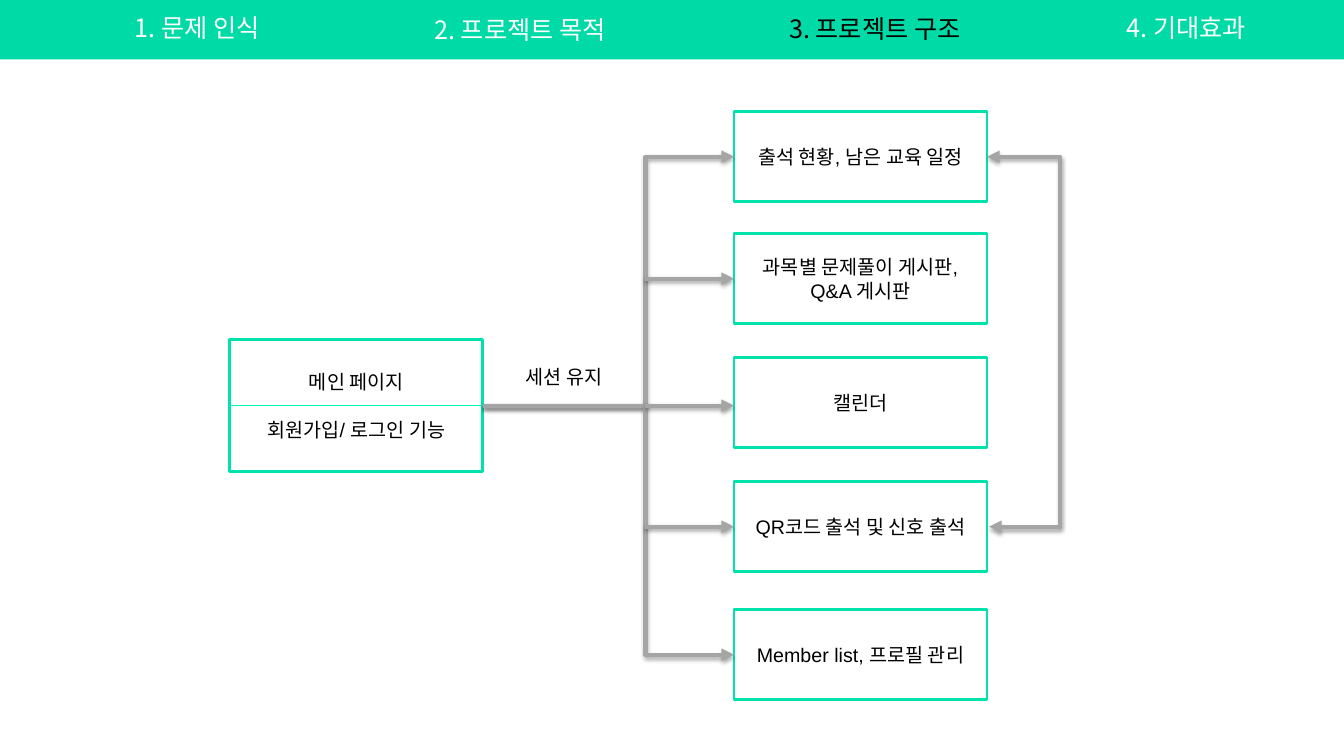
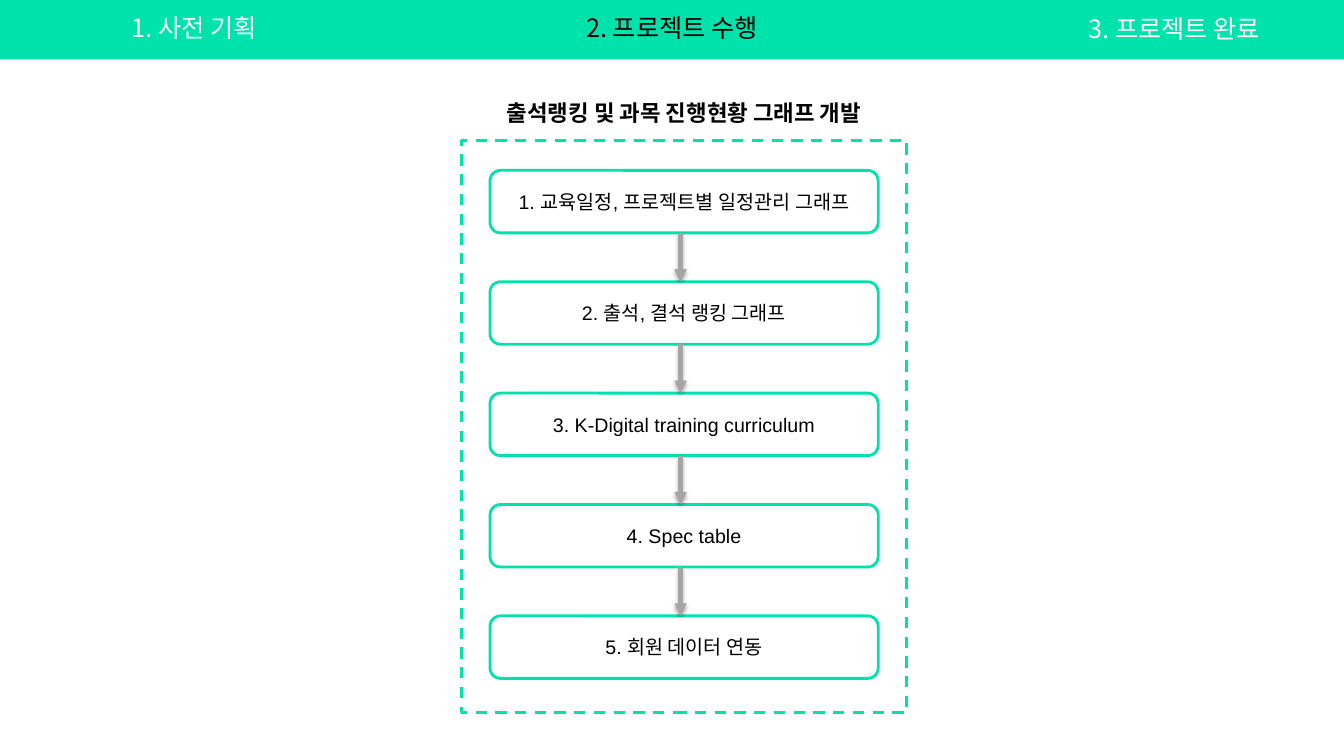
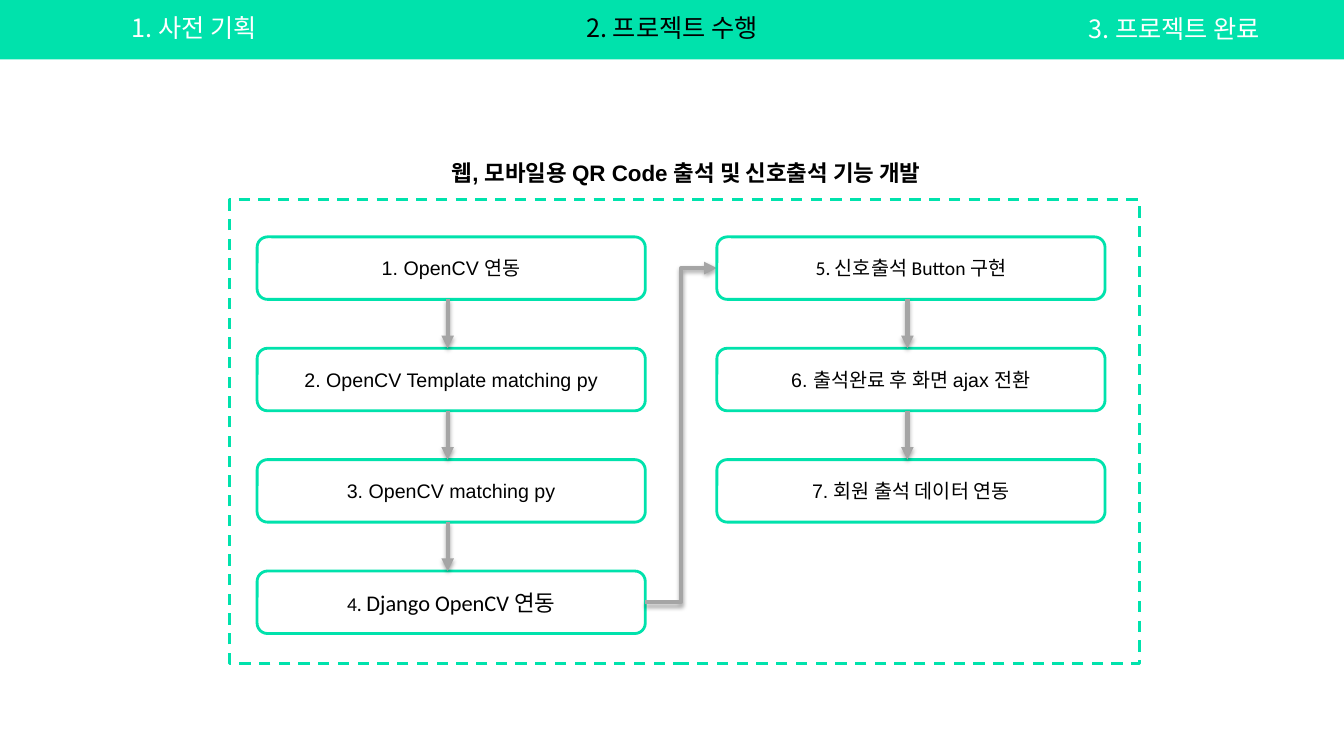
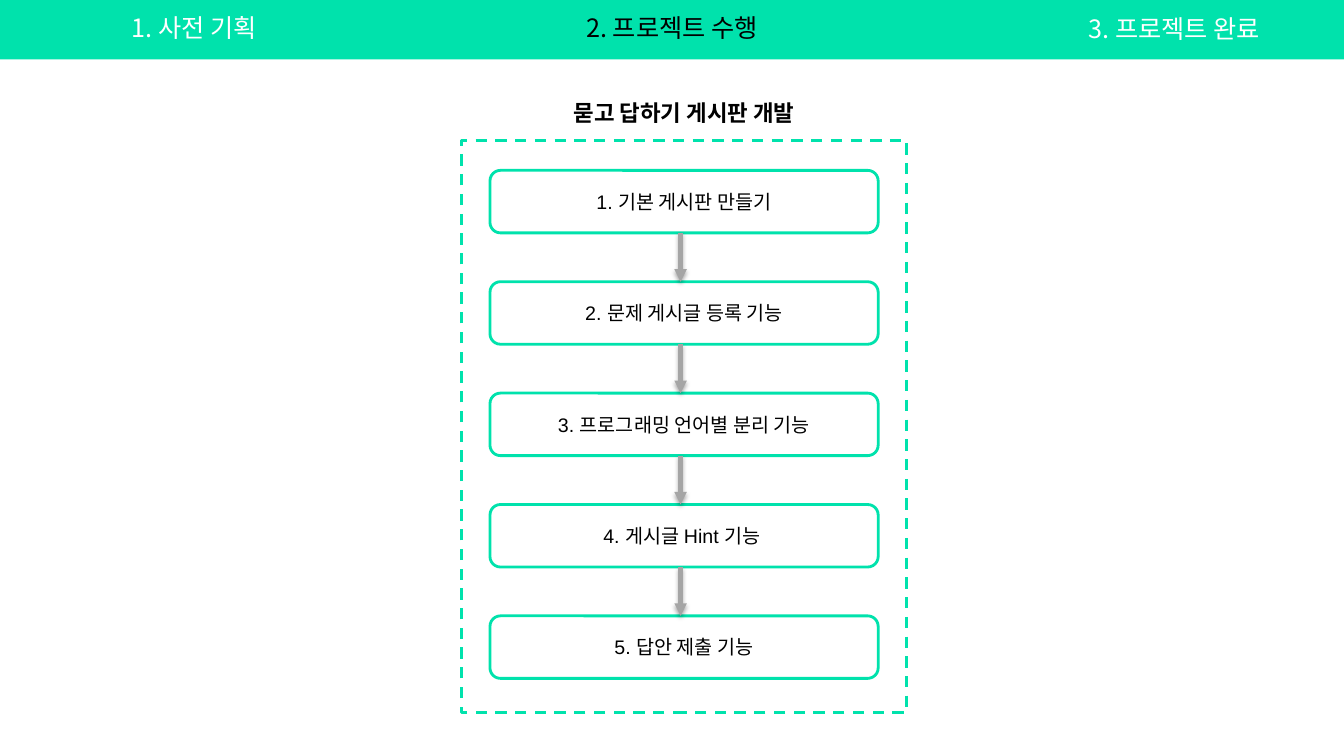
"""Builds four project slides: a site structure diagram and three development flows."""
from dataclasses import dataclass

import pptx
import pptx.dml.color
import pptx.enum.dml
import pptx.enum.shapes
import pptx.enum.text
import pptx.oxml
import pptx.oxml.ns
import pptx.util
from pptx.util import Inches

SHAPES = pptx.enum.shapes.MSO_SHAPE
CONNECTORS = pptx.enum.shapes.MSO_CONNECTOR
ANCHORS = pptx.enum.text.MSO_ANCHOR


@dataclass(frozen=True)
class Theme:
    mint: str = "00E2AC"
    deep_mint: str = "00DAA6"
    bright_mint: str = "00F6BB"
    gray: str = "A5A5A5"
    white: str = "FFFFFF"
    black: str = "000000"
    body_font: str = "Arial"
    alternate_font: str = "Calibri"
    korean_font: str = "Noto Sans CJK KR"
    tab_size: int = 18
    title_size: int = 16
    body_size: int = 14
    border: float = 2
    arrow: float = 3
    hairline: float = 0.75


THEME = Theme()


@dataclass(frozen=True)
class Card:
    text: str
    font: str = THEME.body_font
    number: str = ""


STRUCTURE_TABS = [
    ("1. 문제 인식", 0.37, 0.07, 3.17),
    ("2. 프로젝트 목적 ", 4.09, 0.09, 2.19),
    ("3. 프로젝트 구조 ", 7.61, 0.08, 2.19),
    ("4. 기대효과", 10.67, 0.07, 2.19),
]
FLOW_TABS = [
    ("1. 사전 기획 ", 0.37, 0.07, 3.17),
    ("2. 프로젝트 수행", 5.57, 0.07, 2.19),
    ("3. 프로젝트 완료", 10.55, 0.08, 2.19),
]

MAIN_PAGE = ["메인 페이지", "회원가입/ 로그인 기능"]
SESSION_LABEL = "세션 유지"
FEATURES = [
    (1.11, ["출석 현황, 남은 교육 일정"]),
    (2.32, ["과목별 문제풀이 게시판,", "Q&A 게시판"]),
    (3.55, ["캘린더"]),
    (4.78, ["QR코드 출석 및 신호 출석"]),
    (6.05, ["Member list, 프로필 관리"]),
]

SINGLE_FRAME = (4.58, 1.39, 4.41, 5.68)
SINGLE_TITLE = (4.58, 0.93, 4.41, 0.37)
FLOWS = [
    {
        "title": "출석랭킹 및 과목 진행현황 그래프 개발",
        "title_box": SINGLE_TITLE,
        "frame": SINGLE_FRAME,
        "top": 1.69,
        "columns": [(4.86, [
            Card("1. 교육일정, 프로젝트별 일정관리 그래프"),
            Card("2. 출석, 결석 랭킹 그래프"),
            Card("3. K-Digital training curriculum"),
            Card("4. Spec table"),
            Card("5. 회원 데이터 연동"),
        ])],
    },
    {
        "title": "웹, 모바일용 QR Code 출석 및 신호출석 기능 개발",
        "title_box": (4, 1.53, 5.61, 0.37),
        "frame": (2.28, 1.98, 9.02, 4.6),
        "top": 2.35,
        "columns": [
            (2.55, [
                Card("1. OpenCV 연동"),
                Card("2. OpenCV Template matching py"),
                Card("3. OpenCV matching py"),
                Card("Django OpenCV 연동", THEME.alternate_font, "4. "),
            ]),
            (7.11, [
                Card("5. 신호출석 Button 구현", THEME.alternate_font),
                Card("6. 출석완료 후 화면 ajax 전환"),
                Card("7. 회원 출석 데이터 연동"),
            ]),
        ],
    },
    {
        "title": "묻고 답하기 게시판 개발",
        "title_box": SINGLE_TITLE,
        "frame": SINGLE_FRAME,
        "top": 1.69,
        "columns": [(4.86, [
            Card("1. 기본 게시판 만들기"),
            Card("2. 문제 게시글 등록 기능"),
            Card("3. 프로그래밍 언어별 분리 기능"),
            Card("4. 게시글 Hint 기능 "),
            Card("5. 답안 제출 기능"),
        ])],
    },
]

SLIDE_WIDTH, SLIDE_HEIGHT = 13.33, 7.5
BAND_HEIGHT = 0.59
MAIN_LEFT, MAIN_TOP, MAIN_HEIGHT = 2.28, 3.37, 1.31
BOX_WIDTH, FEATURE_HEIGHT, FEATURE_LEFT = 2.51, 0.89, 7.28
TRUNK_X, RETURN_X = 6.4, 10.51
CARD_WIDTH, CARD_HEIGHT, CARD_PITCH = 3.85, 0.62, 4.42 / 4
ARROW_OFFSET = 1.89


def color(value):
    return pptx.dml.color.RGBColor.from_string(value)


def add_child(parent, tag, **attributes):
    child = pptx.oxml.ns.qn(tag)
    element = parent.makeelement(child, attributes)
    parent.append(element)
    return element


def style_paragraph(paragraph, size, font, text_color=THEME.black, bold=False):
    paragraph.alignment = pptx.enum.text.PP_ALIGN.CENTER
    paragraph.font.size = pptx.util.Pt(size)
    paragraph.font.name = font
    paragraph.font.bold = bold
    paragraph.font.color.rgb = color(text_color)
    defaults = paragraph._p.pPr.find(pptx.oxml.ns.qn("a:defRPr"))
    add_child(defaults, "a:ea", typeface=THEME.korean_font)


def add_label(slide, text, box, size=THEME.body_size, font=THEME.body_font,
              text_color=THEME.black, bold=False):
    label = slide.shapes.add_textbox(*map(Inches, box))
    label.text_frame.word_wrap = True
    paragraph = label.text_frame.paragraphs[0]
    paragraph.text = text
    style_paragraph(paragraph, size, font, text_color, bold)


def add_box(slide, box, kind=SHAPES.RECTANGLE, fill=THEME.white, border=THEME.mint):
    shape = slide.shapes.add_shape(kind, *map(Inches, box))
    shape.shadow.inherit = False
    shape.fill.solid()
    shape.fill.fore_color.rgb = color(fill)
    if border:
        shape.line.color.rgb = color(border)
        shape.line.width = pptx.util.Pt(THEME.border)
    else:
        shape.line.fill.background()
    return shape


def write_lines(shape, lines, gap=0):
    frame = shape.text_frame
    frame.word_wrap = True
    frame.vertical_anchor = ANCHORS.MIDDLE
    for index, line in enumerate(lines):
        paragraph = frame.add_paragraph() if index else frame.paragraphs[0]
        paragraph.text = line
        if index and gap:
            paragraph.space_before = pptx.util.Pt(gap)
        style_paragraph(paragraph, THEME.body_size, THEME.body_font)


def add_line(slide, start, end, kind=CONNECTORS.STRAIGHT, line_color=THEME.gray, width=THEME.arrow):
    connector = slide.shapes.add_connector(kind, *map(Inches, (*start, *end)))
    connector.line.color.rgb = color(line_color)
    connector.line.width = pptx.util.Pt(width)
    effects = add_child(connector._element.spPr, "a:effectLst")
    return connector, effects


def add_arrow(slide, start, end, turn_x=None, both_ends=False):
    kind = CONNECTORS.STRAIGHT if turn_x is None else CONNECTORS.ELBOW
    connector, effects = add_line(slide, start, end, kind)
    if turn_x is not None:
        share = (turn_x - start[0]) / (end[0] - start[0])
        geometry = connector._element.spPr.find(pptx.oxml.ns.qn("a:prstGeom"))
        guides = geometry.find(pptx.oxml.ns.qn("a:avLst"))
        if guides is None:
            guides = add_child(geometry, "a:avLst")
        add_child(guides, "a:gd", name="adj1", fmla=f"val {round(share * 100000)}")
    outline = connector.line._get_or_add_ln()
    for tag in ["a:headEnd", "a:tailEnd"] if both_ends else ["a:tailEnd"]:
        add_child(outline, tag, type="triangle")
    shadow = add_child(effects, "a:outerShdw", blurRad=str(pptx.util.Pt(3.1)),
                       dist=str(pptx.util.Pt(1.8)), dir="5400000", rotWithShape="0")
    shade = add_child(shadow, "a:srgbClr", val=THEME.black)
    add_child(shade, "a:alpha", val="35000")


def add_slide(presentation, tabs, current, band_color):
    slide = presentation.slides.add_slide(presentation.slide_layouts[6])
    add_box(slide, (0, 0, SLIDE_WIDTH, BAND_HEIGHT), fill=band_color, border=None)
    for index, (text, left, top, width) in enumerate(tabs):
        tab_color = THEME.black if index == current else THEME.white
        add_label(slide, text, (left, top, width, 0.4), THEME.tab_size, THEME.korean_font, tab_color)
    return slide


def build_structure(presentation):
    slide = add_slide(presentation, STRUCTURE_TABS, 2, THEME.deep_mint)
    main_right = MAIN_LEFT + BOX_WIDTH
    main_middle = MAIN_TOP + MAIN_HEIGHT / 2
    main_box = add_box(slide, (MAIN_LEFT, MAIN_TOP, BOX_WIDTH, MAIN_HEIGHT))
    write_lines(main_box, MAIN_PAGE, gap=18)
    add_line(slide, (MAIN_LEFT, main_middle), (main_right, main_middle),
             line_color=THEME.bright_mint, width=THEME.hairline)
    add_label(slide, SESSION_LABEL, (5.03, 3.57, 1.13, 0.34))

    for top, lines in FEATURES:
        write_lines(add_box(slide, (FEATURE_LEFT, top, BOX_WIDTH, FEATURE_HEIGHT)), lines)
    middles = [top + FEATURE_HEIGHT / 2 for top, _ in FEATURES]
    for middle in (middles[0], middles[-1]):
        add_arrow(slide, (main_right, main_middle), (FEATURE_LEFT, middle), TRUNK_X)
    for middle in (middles[1], main_middle, middles[3]):
        add_arrow(slide, (TRUNK_X, middle), (FEATURE_LEFT, middle))
    feature_right = FEATURE_LEFT + BOX_WIDTH
    add_arrow(slide, (feature_right, middles[0]), (feature_right + 0.02, middles[3]),
              RETURN_X, both_ends=True)


def add_card(slide, card, left, top):
    shape = add_box(slide, (left, top, CARD_WIDTH, CARD_HEIGHT), SHAPES.ROUNDED_RECTANGLE)
    shape.text_frame.word_wrap = True
    shape.text_frame.vertical_anchor = ANCHORS.MIDDLE
    paragraph = shape.text_frame.paragraphs[0]
    style_paragraph(paragraph, THEME.body_size, card.font)
    if card.number:
        paragraph.add_run().text = card.number
    run = paragraph.add_run()
    run.text = card.text
    if card.number:
        run.font.size = pptx.util.Pt(THEME.title_size)


def build_flow(presentation, flow):
    slide = add_slide(presentation, FLOW_TABS, 1, THEME.mint)
    frame = add_box(slide, flow["frame"])
    frame.line.dash_style = pptx.enum.dml.MSO_LINE.DASH
    add_label(slide, flow["title"], flow["title_box"], THEME.title_size, bold=True)
    first_top = flow["top"]
    exit_point = None
    for left, cards in flow["columns"]:
        if exit_point:
            entry = (left, first_top + CARD_HEIGHT / 2)
            add_arrow(slide, exit_point, entry, (exit_point[0] + left) / 2)
        for row, card in enumerate(cards):
            top = first_top + row * CARD_PITCH
            add_card(slide, card, left, top)
            if row:
                arrow_x = left + ARROW_OFFSET
                add_arrow(slide, (arrow_x, top - CARD_PITCH + CARD_HEIGHT), (arrow_x, top))
        exit_point = (left + CARD_WIDTH, top + CARD_HEIGHT / 2)


def main():
    presentation = pptx.Presentation()
    presentation.slide_width = Inches(SLIDE_WIDTH)
    presentation.slide_height = Inches(SLIDE_HEIGHT)
    build_structure(presentation)
    for flow in FLOWS:
        build_flow(presentation, flow)
    presentation.save("out.pptx")


if __name__ == "__main__":
    main()
